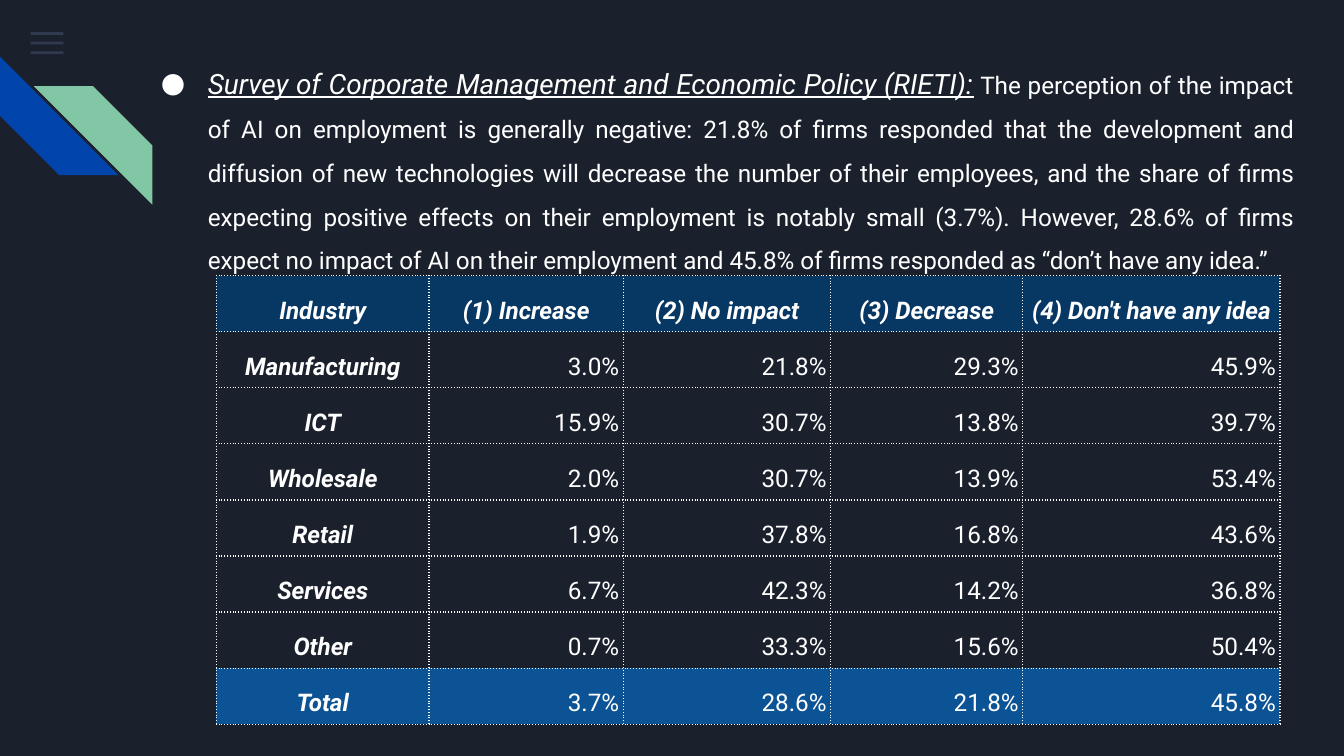
from lxml import etree
from pptx import Presentation
from pptx.dml.color import RGBColor
from pptx.enum.shapes import MSO_SHAPE as Shape
from pptx.enum.text import MSO_ANCHOR as Anchor, PP_ALIGN as Align
from pptx.oxml import parse_xml
from pptx.oxml.ns import nsdecls, qn
from pptx.util import Cm, Pt

FONT = "Roboto"
COLORS = {
    "background": "1B212C",
    "text": "FFFFFF",
    "menu": "55688B",
    "blue": "0145AC",
    "green": "82C7A5",
    "header": "073763",
    "total": "0B5394",
}

SURVEY = "Survey of Corporate Management and Economic Policy (RIETI):"
FINDINGS = (
    " The perception of the impact of AI on employment is generally negative: "
    "21.8% of firms responded that the development and diffusion of new "
    "technologies will decrease the number of their employees, and the share of "
    "firms expecting positive effects on their employment is notably small "
    "(3.7%). However, 28.6% of firms expect no impact of AI on their employment "
    "and 45.8% of firms responded as “don’t have any idea.”"
)

ROWS = [
    ["Industry", "(1) Increase", "(2) No impact", "(3) Decrease", "(4) Don't have any idea"],
    ["Manufacturing", "3.0%", "21.8%", "29.3%", "45.9%"],
    ["ICT", "15.9%", "30.7%", "13.8%", "39.7%"],
    ["Wholesale", "2.0%", "30.7%", "13.9%", "53.4%"],
    ["Retail", "1.9%", "37.8%", "16.8%", "43.6%"],
    ["Services", "6.7%", "42.3%", "14.2%", "36.8%"],
    ["Other", "0.7%", "33.3%", "15.6%", "50.4%"],
    ["Total", "3.7%", "28.6%", "21.8%", "45.8%"],
]
COLUMN_WIDTHS = [4.02, 3.67, 3.92, 3.63, 4.86]
ROW_HEIGHT = 1.06


def color(name):
    return RGBColor.from_string(COLORS[name])


def add_block(page, kind, left, top, width, height, fill, rotation=0):
    block = page.shapes.add_shape(kind, Cm(left), Cm(top), Cm(width), Cm(height))
    block.shadow.inherit = False
    block.fill.solid()
    block.fill.fore_color.rgb = color(fill)
    block.line.fill.background()
    block.rotation = rotation
    return block


def set_alpha(block, percent):
    tint = block.fill._xPr.find(qn("a:solidFill"))[0]
    etree.SubElement(tint, qn("a:alpha"), val=str(percent * 1000))


def format_span(span, size, bold=False, italic=False, underline=False):
    font = span.font
    font.name, font.size = FONT, Pt(size)
    font.bold, font.italic, font.underline = bold, italic, underline
    font.color.rgb = color("text")


def add_bullet(para):
    props = para._p.get_or_add_pPr()
    props.set("marL", str(Cm(1.27)))
    props.set("indent", str(Cm(-0.89)))
    tint = etree.SubElement(props, qn("a:buClr"))
    etree.SubElement(tint, qn("a:srgbClr"), val=COLORS["text"])
    etree.SubElement(props, qn("a:buFont"), typeface=FONT)
    etree.SubElement(props, qn("a:buChar"), char="●")


def add_summary(page):
    box = page.shapes.add_textbox(Cm(2.41), Cm(0.69), Cm(22.28), Cm(4.32))
    frame = box.text_frame
    frame.word_wrap = True
    frame.margin_left = frame.margin_right = Cm(0.25)
    frame.margin_top = frame.margin_bottom = Cm(0.25)
    para = frame.paragraphs[0]
    para.alignment, para.line_spacing = Align.JUSTIFY, 1.5
    add_bullet(para)
    lead, body = para.add_run(), para.add_run()
    lead.text, body.text = SURVEY, FINDINGS
    format_span(lead, 15, italic=True, underline=True)
    format_span(body, 13)


def add_borders(cell):
    props = cell._tc.get_or_add_tcPr()
    for side in ("lnL", "lnR", "lnT", "lnB"):
        props.append(parse_xml(
            f'<a:{side} {nsdecls("a")} w="{Pt(0.75)}"><a:solidFill>'
            f'<a:srgbClr val="{COLORS["text"]}"/></a:solidFill>'
            f'<a:prstDash val="dot"/></a:{side}>'))


def fill_cell(cell, text, is_label, fill):
    cell.vertical_anchor = Anchor.MIDDLE
    cell.margin_left = cell.margin_right = Cm(0.08)
    cell.margin_top = cell.margin_bottom = Cm(0.08)
    add_borders(cell)
    if fill:
        cell.fill.solid()
        cell.fill.fore_color.rgb = color(fill)
    else:
        cell.fill.background()
    para = cell.text_frame.paragraphs[0]
    para.text = text
    para.alignment = Align.CENTER if is_label else Align.RIGHT
    para.line_spacing = 1.5
    format_span(para.runs[0], 13, bold=is_label, italic=is_label)


def add_industry_table(page):
    table = page.shapes.add_table(
        len(ROWS), len(COLUMN_WIDTHS), Cm(4.09), Cm(5.21),
        Cm(sum(COLUMN_WIDTHS)), Cm(ROW_HEIGHT * len(ROWS))).table
    table.first_row = table.horz_banding = False
    for column, width in zip(table.columns, COLUMN_WIDTHS):
        column.width = Cm(width)
    fills = {0: "header", len(ROWS) - 1: "total"}
    for r, values in enumerate(ROWS):
        table.rows[r].height = Cm(ROW_HEIGHT)
        for c, text in enumerate(values):
            fill_cell(table.cell(r, c), text, r == 0 or c == 0, fills.get(r))


def main():
    deck = Presentation()
    deck.slide_width, deck.slide_height = Cm(25.4), Cm(14.29)
    page = deck.slides.add_slide(deck.slide_layouts[6])
    page.background.fill.solid()
    page.background.fill.fore_color.rgb = color("background")

    # Menu icon
    for i in range(3):
        bar = add_block(page, Shape.RECTANGLE, 0.58, 0.61 + 0.18 * i, 0.62, 0.05, "menu")
        set_alpha(bar, 36)

    # Corner stripes
    add_block(page, Shape.DIAGONAL_STRIPE, 0, 1.07, 2.24, 2.24, "blue", 270)
    add_block(page, Shape.DIAGONAL_STRIPE, 0.64, 1.63, 2.24, 2.24, "green", 90)

    # Survey summary and results by industry
    add_summary(page)
    add_industry_table(page)

    deck.save("out.pptx")


if __name__ == "__main__":
    main()
